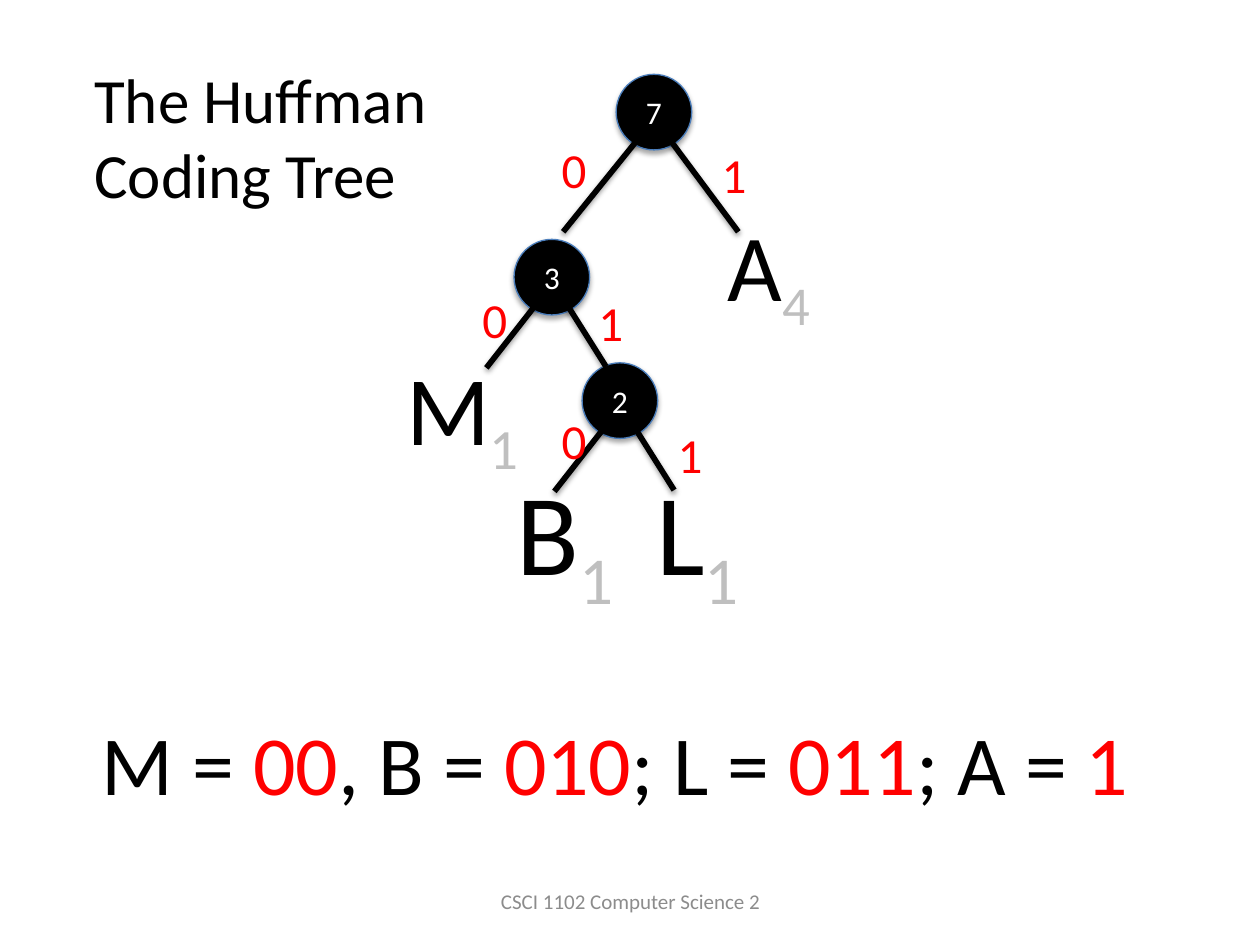
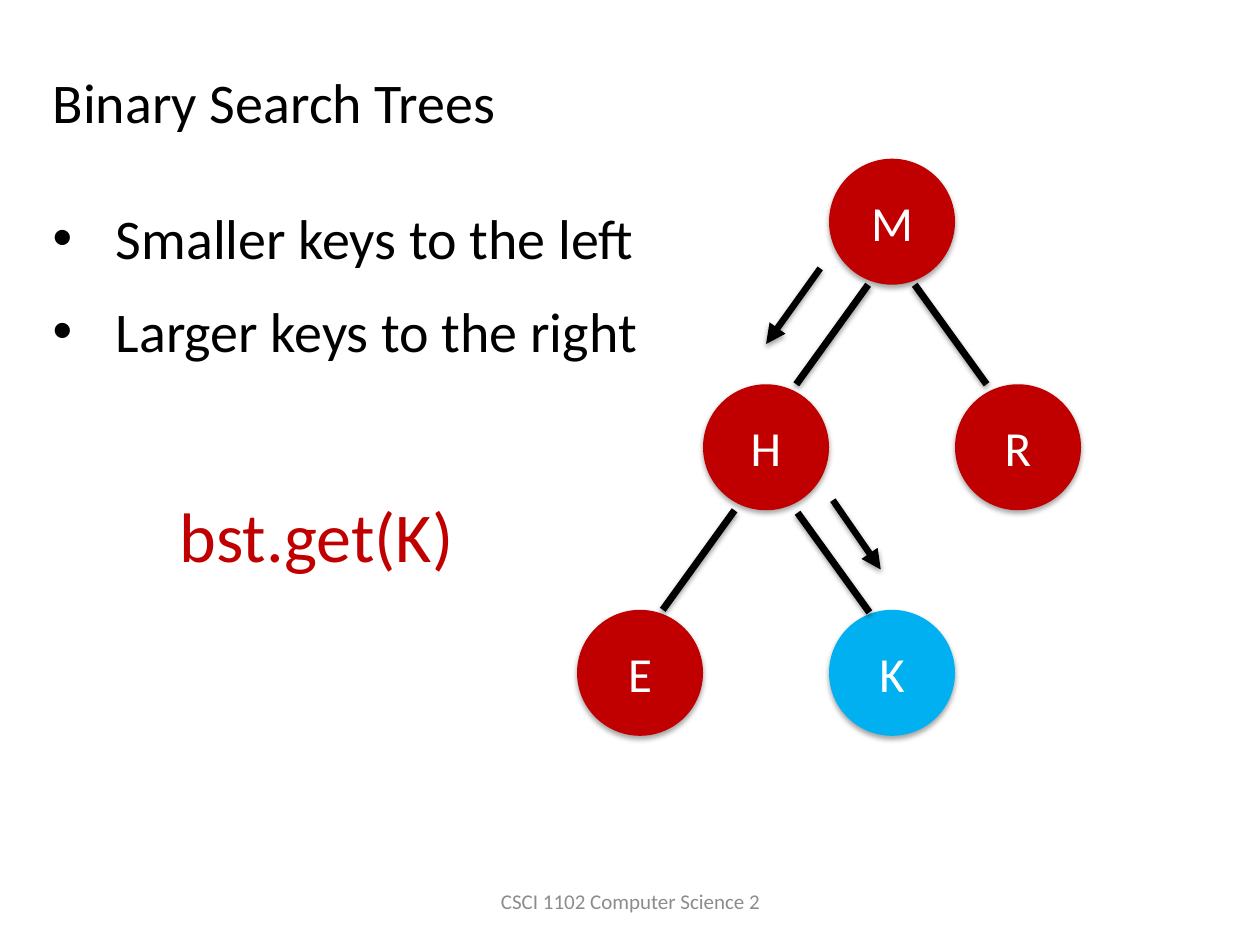
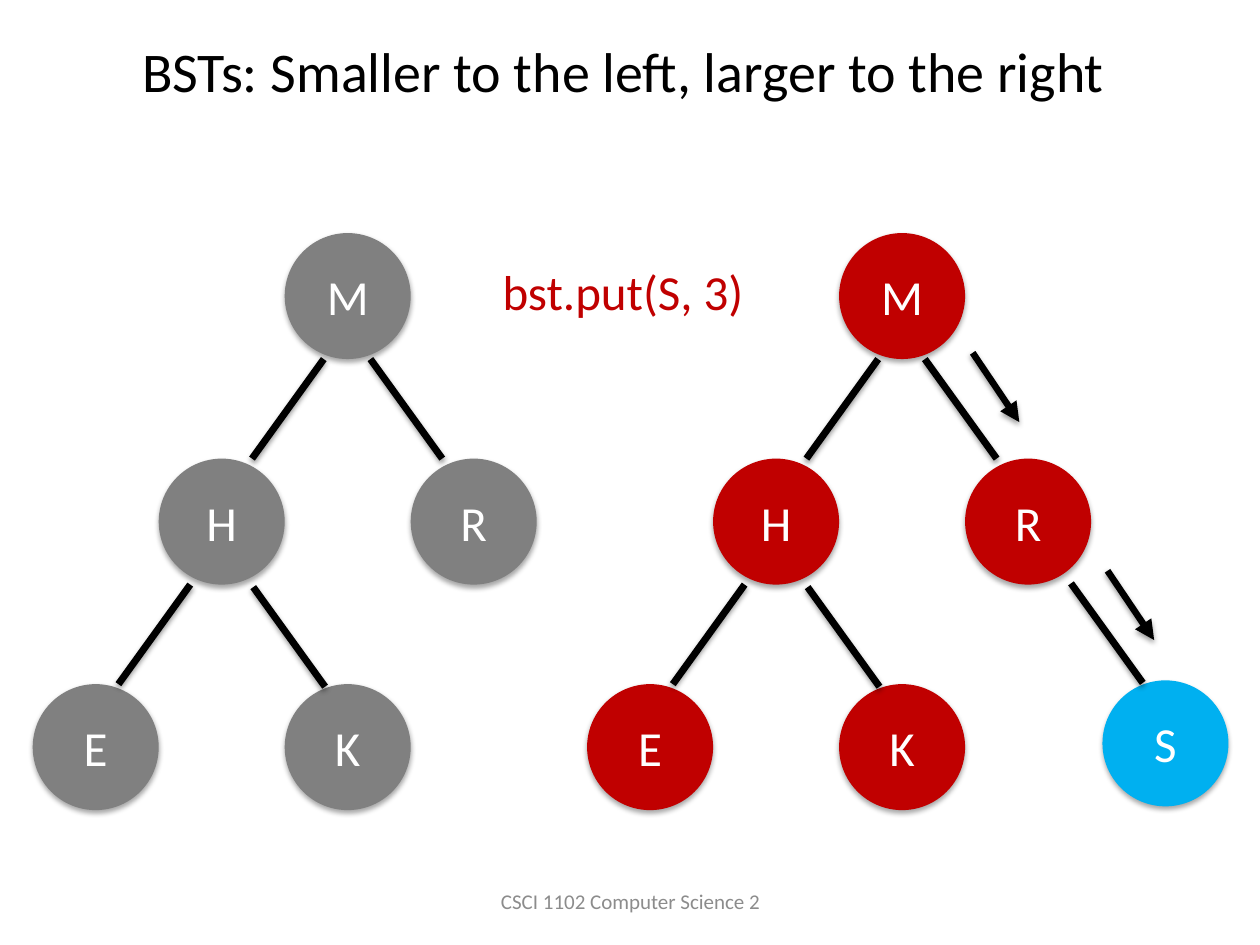
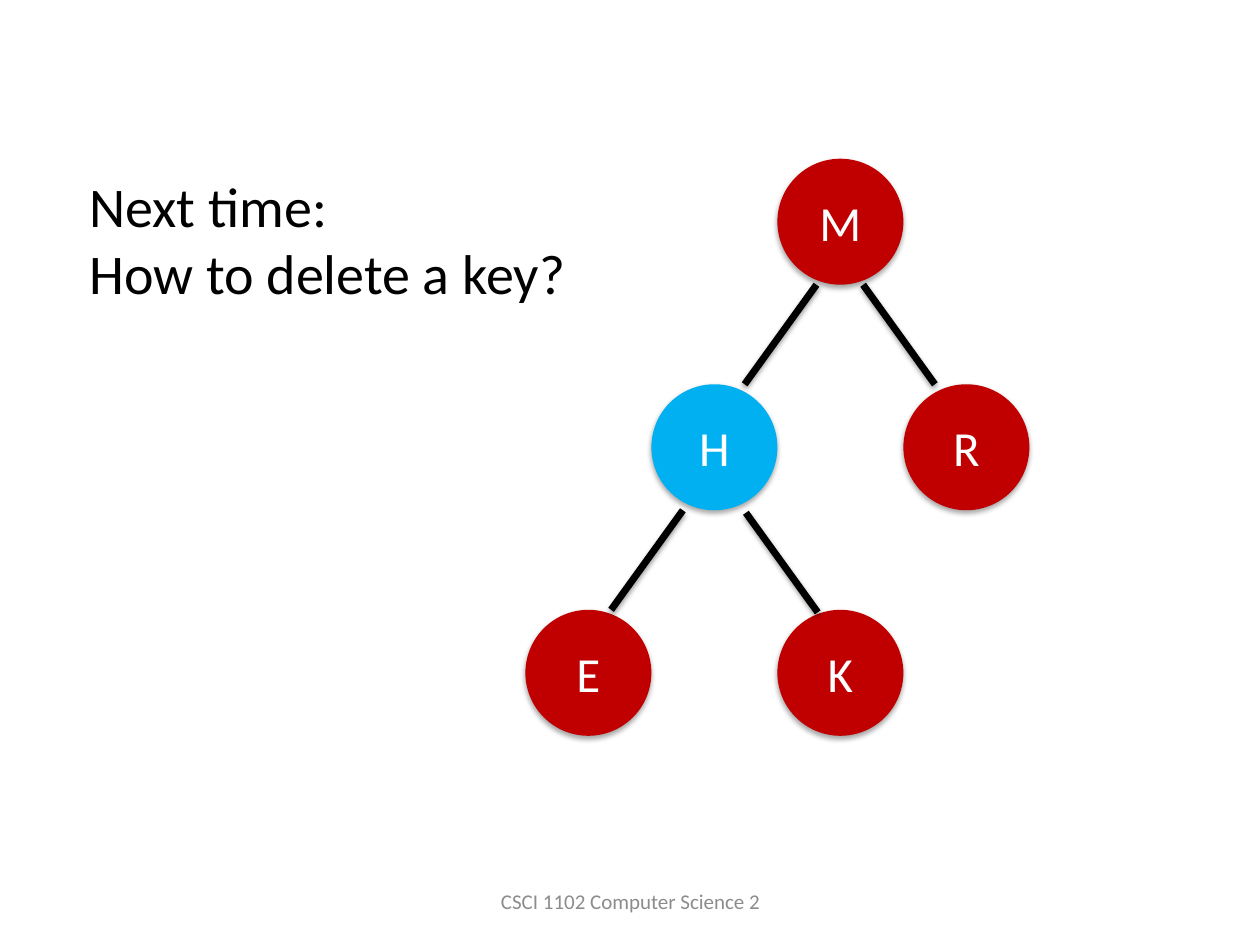
from pptx import Presentation
from pptx.dml.color import RGBColor
from pptx.enum.shapes import MSO_CONNECTOR, MSO_SHAPE
from pptx.enum.text import MSO_ANCHOR, MSO_AUTO_SIZE, PP_ALIGN
from pptx.oxml.ns import qn
from pptx.oxml.xmlchemy import OxmlElement
from pptx.util import Inches, Pt

ELLIPSE = MSO_SHAPE.OVAL
STRAIGHT = MSO_CONNECTOR.STRAIGHT
CENTER, LEFT = PP_ALIGN.CENTER, PP_ALIGN.LEFT
MIDDLE, TOP = MSO_ANCHOR.MIDDLE, MSO_ANCHOR.TOP
GROW, FIXED = MSO_AUTO_SIZE.SHAPE_TO_FIT_TEXT, MSO_AUTO_SIZE.NONE

BLACK = RGBColor(0x00, 0x00, 0x00)
WHITE = RGBColor(0xFF, 0xFF, 0xFF)
BIT_RED = RGBColor(0xFF, 0x00, 0x00)
KEY_RED = RGBColor(0xC0, 0x00, 0x00)
KEY_BLUE = RGBColor(0x00, 0xB0, 0xF0)
OLD_GRAY = RGBColor(0x80, 0x80, 0x80)
COUNT_GRAY = RGBColor(0xBF, 0xBF, 0xBF)
FOOTER_GRAY = RGBColor(0x8C, 0x8C, 0x8C)
RIM_BLUE = RGBColor(0x4B, 0x7E, 0xBC)

FONT = "Calibri"
COLUMNS, ROWS = 10, 7.5
SLIDE_W, SLIDE_H = Inches(COLUMNS), Inches(ROWS)
CELL = SLIDE_W / COLUMNS

LEVEL = 1.79
EDGE_RUN, EDGE_DROP = 0.57, 0.79
KEY_SPOTS = {"M": (2, 0), "H": (1, LEVEL), "E": (0, 2 * LEVEL),
             "R": (3, LEVEL), "K": (2, 2 * LEVEL)}
KEY_EDGES = [("M", 0.31, 1, -1), ("H", 0.25, 1, -1),
             ("H", 0.75, 1.02, 1), ("M", 0.68, 1, 1)]

HUFFMAN_NODES = [
    ("2", (1.62, 2.38), (-0.47, 0.6), (0.34, 0.54), (-0.26, 0.33), (0.66, 0.44)),
    ("3", (1.08, 1.4), (-0.47, 0.6), (0.34, 0.54), (-0.35, 0.35), (0.57, 0.37)),
    ("7", (1.89, 0.09), (-0.67, 0.83), (0.58, 0.78), (-0.53, 0.47), (0.74, 0.51)),
]


def grid(*cells):
    return [round(cell * CELL) for cell in cells]


def shift(origin, offset):
    return origin[0] + offset[0], origin[1] + offset[1]


def apply(target, values):
    for key, value in values.items():
        setattr(target, key, value)


def child(parent, tag, **attributes):
    element = OxmlElement(tag)
    for key, value in attributes.items():
        element.set(key, str(value))
    parent.append(element)
    return element


def add_shadow(part, distance, opacity):
    effects = child(part._element.spPr, "a:effectLst")
    outer = child(effects, "a:outerShdw", blurRad=Pt(3.1), dist=Pt(distance),
                  dir=5400000, rotWithShape=0)
    tint = child(outer, "a:srgbClr", val=BLACK)
    child(tint, "a:alpha", val=opacity * 1000)


def fill_paragraph(paragraph, runs, size, align=LEFT):
    paragraph.alignment = align
    for text, color, *baseline in runs:
        run = paragraph.add_run()
        run.text = text
        apply(run.font, {"name": FONT, "size": Pt(size)})
        run.font.color.rgb = color
        if baseline:
            run._r.get_or_add_rPr().set("baseline", str(baseline[0]))


def add_text(shapes, box, paragraphs, size, align=LEFT, anchor=TOP,
             wrap=False, fit=GROW):
    frame = shapes.add_textbox(*grid(*box)).text_frame
    apply(frame, {"word_wrap": wrap, "auto_size": fit, "vertical_anchor": anchor})
    for index, runs in enumerate(paragraphs):
        paragraph = frame.add_paragraph() if index else frame.paragraphs[0]
        fill_paragraph(paragraph, runs, size, align)
    return frame


def add_node(shapes, spot, diameter, label, size, color, rim=None):
    node = shapes.add_shape(ELLIPSE, *grid(*spot, diameter, diameter))
    node.shadow.inherit = False
    node._element.spPr.remove(node._element.spPr.find(qn("a:effectLst")))
    node.fill.solid()
    node.fill.fore_color.rgb = color
    if rim is None:
        node.line.fill.background()
    else:
        node.line.color.rgb = rim
        node.line.width = Pt(0.75)
    add_shadow(node, 1.8, 35)
    node.text_frame.vertical_anchor = MIDDLE
    fill_paragraph(node.text_frame.paragraphs[0], [(label, WHITE)], size, CENTER)


def add_edge(shapes, start, reach, width, arrow=False):
    edge = shapes.add_connector(STRAIGHT, *grid(*start, *shift(start, reach)))
    edge.line.color.rgb = BLACK
    edge.line.width = Pt(width)
    if arrow:
        child(edge._element.spPr.find(qn("a:ln")), "a:tailEnd", type="triangle")
    add_shadow(edge, 1.6, 38)


def search_tree(slide, origin, color, found=None, arrows=(), inserted=None):
    shapes = slide.shapes.add_group_shape().shapes
    for key, spot in KEY_SPOTS.items():
        fill = KEY_BLUE if key == found else color
        add_node(shapes, shift(origin, spot), 1, key, 28, fill)
    edges = list(KEY_EDGES)
    if inserted:
        add_node(shapes, shift(origin, (4.09, 3.55)), 1, inserted, 28, KEY_BLUE)
        edges.append(("R", 0.84, 0.99, 1))
    for parent, x, y, side in edges:
        start = shift(shift(origin, KEY_SPOTS[parent]), (x, y))
        add_edge(shapes, start, (side * EDGE_RUN, EDGE_DROP), 4)
    for start, reach in arrows:
        add_edge(shapes, shift(origin, start), reach, 3.75, arrow=True)


def huffman_tree(slide, origin):
    shapes = slide.shapes.add_group_shape().shapes
    for weight, spot, left, right, zero, one in HUFFMAN_NODES:
        place = shift(origin, spot)
        add_node(shapes, place, 0.6, weight, 18, BLACK, RIM_BLUE)
        add_edge(shapes, shift(place, (0.25, 0.42)), left, 3.25)
        add_edge(shapes, shift(place, (0.39, 0.47)), right, 3.25)
        for bit, offset in (("0", zero), ("1", one)):
            add_text(shapes, (*shift(place, offset), 0.4, 0.57),
                     [[(bit, BIT_RED)]], 28)

    def leaf(letter, count):
        return [(letter, BLACK), (count, COUNT_GRAY, -25000)]

    centered = {"align": CENTER, "anchor": MIDDLE, "wrap": True, "fit": FIXED}
    add_text(shapes, (*shift(origin, (0.07, 2.16)), 1.2, 1.25),
             [leaf("M", "1")], 56.1, **centered)
    add_text(shapes, (*shift(origin, (2.17, 1.03)), 1.87, 1.25),
             [leaf("A", "4")], 54, **centered)
    siblings = add_text(shapes, (*shift(origin, (1, 2.7)), 2.45, 2.16), [[]], 66,
                        anchor=MIDDLE, wrap=True, fit=FIXED)
    row = siblings.paragraphs[0]
    stops = child(row._p.get_or_add_pPr(), "a:tabLst")
    child(stops, "a:tab", pos=Inches(1.11), algn="l")
    fill_paragraph(row, leaf("B", "1") + [("\t", BLACK)] + leaf("L", "1"), 66)


def footer(slide):
    add_text(slide.shapes, (3.42, 6.95, 3.17, 0.4),
             [[("CSCI 1102 Computer Science 2", FOOTER_GRAY)]], 12,
             align=CENTER, anchor=MIDDLE, wrap=True, fit=FIXED)


def huffman_slide(slide):
    huffman_tree(slide, (3, 0.5))
    codes = [("M = ", BLACK), ("00", BIT_RED), (", B = ", BLACK), ("010", BIT_RED),
             ("; L = ", BLACK), ("011", BIT_RED), ("; A = ", BLACK), ("1", BIT_RED)]
    add_text(slide.shapes, (0.71, 5.6, 8.44, 0.91), [codes], 48)
    add_text(slide.shapes, (0.65, 0.43, 2.87, 1.31),
             [[("The Huffman Coding Tree", BLACK)]], 36, wrap=True)


def get_slide(slide):
    search_tree(slide, (4.58, 1.26), KEY_RED, found="K",
                arrows=[((1.93, 0.87), (-0.43, 0.6)), ((2.03, 2.71), (0.38, 0.55))])
    rules = add_text(slide.shapes, (0.32, 0.49, 4.89, 2.46),
                     [[("Binary Search Trees", BLACK)]], 32)
    for text, gap in (("Smaller keys to the left", 39),
                      ("Larger keys to the right", 14.6)):
        rule = rules.add_paragraph()
        rule.space_before = Pt(gap)
        properties = rule._p.get_or_add_pPr()
        properties.set("marL", str(Inches(0.5)))
        properties.set("indent", str(-Inches(0.5)))
        child(properties, "a:buFont", typeface="Arial")
        child(properties, "a:buChar", char="•")
        fill_paragraph(rule, [(text, BLACK)], 32)
    add_text(slide.shapes, (1.33, 3.86, 2.4, 0.77), [[("bst.get(K)", KEY_RED)]], 40)


def put_slide(slide):
    search_tree(slide, (0.26, 1.85), OLD_GRAY)
    add_text(slide.shapes, (1.03, 0.24, 7.93, 0.64),
             [[("BSTs: Smaller to the left, larger to the right", BLACK)]], 32)
    add_text(slide.shapes, (3.89, 2.03, 2.14, 0.57),
             [[("bst.put(S, 3)", KEY_RED)]], 28)
    search_tree(slide, (4.66, 1.85), KEY_RED, inserted="S",
                arrows=[((3.06, 0.95), (0.37, 0.55)), ((4.13, 2.68), (0.37, 0.55))])


def delete_slide(slide):
    search_tree(slide, (4.17, 1.26), KEY_RED, found="H")
    add_text(slide.shapes, (0.61, 1.31, 4.02, 1.18),
             [[("Next time:", BLACK)], [("How to delete a key?", BLACK)]], 32, wrap=True)


def main():
    deck = Presentation()
    apply(deck, {"slide_width": SLIDE_W, "slide_height": SLIDE_H})
    for build in (huffman_slide, get_slide, put_slide, delete_slide):
        slide = deck.slides.add_slide(deck.slide_layouts[6])
        footer(slide)
        build(slide)
    deck.save("out.pptx")


if __name__ == "__main__":
    main()
